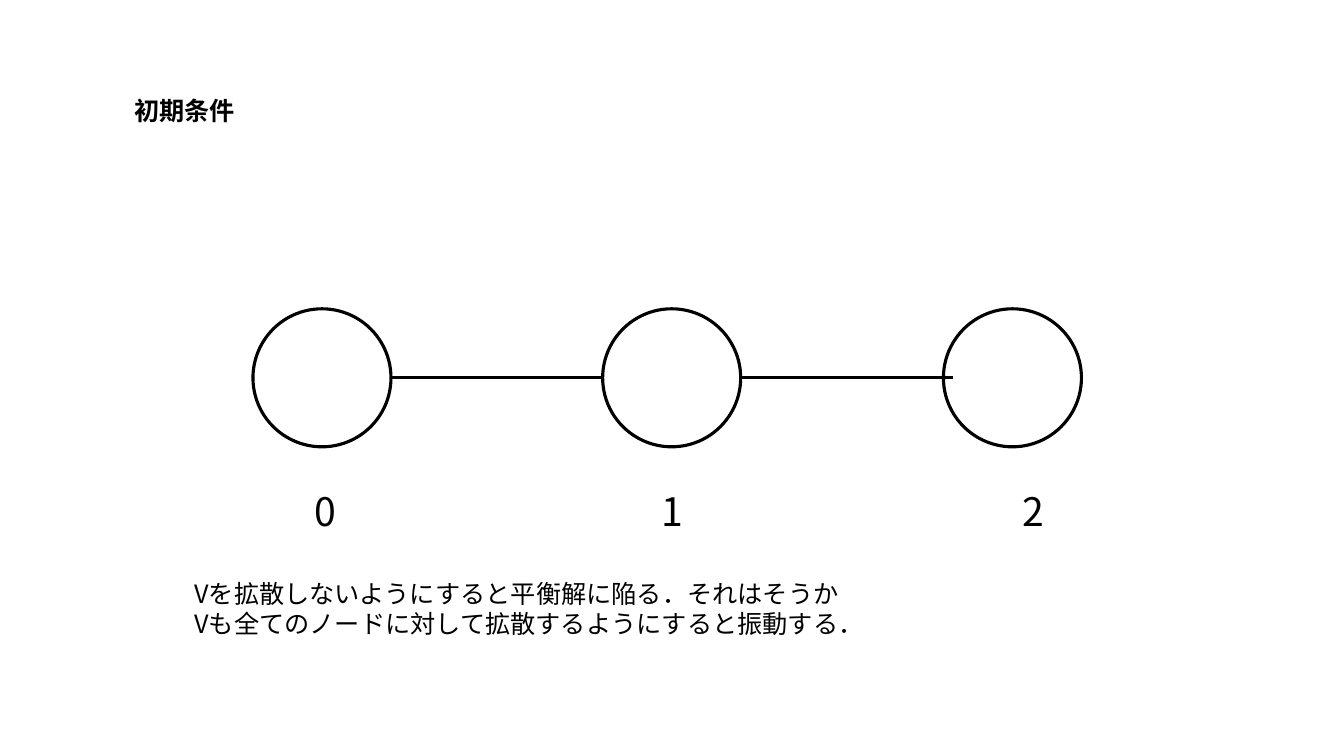
from dataclasses import dataclass

from lxml import etree
from pptx import Presentation
from pptx.dml.color import RGBColor
from pptx.enum.shapes import MSO_CONNECTOR, MSO_SHAPE
from pptx.enum.text import MSO_ANCHOR, MSO_AUTO_SIZE, PP_ALIGN
from pptx.oxml.ns import qn
from pptx.util import Pt

OVAL = MSO_SHAPE.OVAL
STRAIGHT = MSO_CONNECTOR.STRAIGHT
LEFT = PP_ALIGN.LEFT
TOP = MSO_ANCHOR.TOP
FIT_SHAPE = MSO_AUTO_SIZE.SHAPE_TO_FIT_TEXT
TITLE_ONLY = 5


@dataclass(frozen=True)
class Theme:
    ink: RGBColor = RGBColor(0, 0, 0)
    paper: RGBColor = RGBColor(255, 255, 255)
    font: str = "Noto Sans CJK JP"
    body_size: float = 18
    label_size: float = 28
    line_width: float = 2.25


THEME = Theme()


@dataclass(frozen=True)
class Box:
    left: float
    top: float
    width: float
    height: float


def place(shape, box):
    shape.left, shape.top = Pt(box.left), Pt(box.top)
    shape.width, shape.height = Pt(box.width), Pt(box.height)


def write_lines(shape, lines, size, bold=False):
    frame = shape.text_frame
    frame.word_wrap = False
    frame.auto_size = FIT_SHAPE
    frame.vertical_anchor = TOP
    for index, line in enumerate(lines):
        paragraph = frame.add_paragraph() if index else frame.paragraphs[0]
        paragraph.alignment = LEFT
        run = paragraph.add_run()
        run.text = line
        run.font.name = THEME.font
        run.font.size = Pt(size)
        run.font.bold = bold
        run.font.color.rgb = THEME.ink
        east_asian = etree.SubElement(run.font._element, qn("a:ea"))
        east_asian.set("typeface", THEME.font)


def add_title(slide, box, text):
    title = slide.shapes.title
    place(title, box)
    write_lines(title, [text], THEME.body_size, bold=True)


def add_text(slide, box, lines, size):
    shape = slide.shapes.add_textbox(0, 0, 0, 0)
    place(shape, box)
    write_lines(shape, lines, size)


def add_node(slide, box):
    node = slide.shapes.add_shape(OVAL, 0, 0, 0, 0)
    place(node, box)
    node.shadow.inherit = False
    node.fill.background()
    node.line.color.rgb = THEME.ink
    node.line.width = Pt(THEME.line_width)


def add_edge(slide, start, end, y):
    edge = slide.shapes.add_connector(STRAIGHT, Pt(start), Pt(y), Pt(end), Pt(y))
    edge.line.color.rgb = THEME.ink
    edge.line.width = Pt(THEME.line_width)
    etree.SubElement(edge._element.spPr, qn("a:effectLst"))


def add_chain(slide, box):
    diameter = 98.6
    node_offsets = (0, 249.8, box.width - diameter)
    label_offsets = (36.7, 284.4, 542.9)
    edge_length = 151.5
    for index, (node, label) in enumerate(zip(node_offsets, label_offsets)):
        left = box.left + node
        add_node(slide, Box(left, box.top, diameter, diameter))
        label_box = Box(box.left + label, box.top + 123.8, 30.2, 41)
        add_text(slide, label_box, [str(index)], THEME.label_size)
        if index < len(node_offsets) - 1:
            start = left + diameter
            add_edge(slide, start, start + edge_length, box.top + diameter / 2)


def main():
    presentation = Presentation()
    presentation.slide_width, presentation.slide_height = Pt(960), Pt(540)
    slide = presentation.slides.add_slide(presentation.slide_layouts[TITLE_ONLY])
    slide.background.fill.solid()
    slide.background.fill.fore_color.rgb = THEME.paper
    add_title(slide, Box(88.6, 64.8, 87.1, 28.8), "初期条件")
    add_chain(slide, Box(180.7, 220.6, 591.8, 164.8))
    add_text(
        slide,
        Box(131.8, 409.7, 499, 51.1),
        [
            "Vを拡散しないようにすると平衡解に陥る．それはそうか",
            "Vも全てのノードに対して拡散するようにすると振動する．",
        ],
        THEME.body_size,
    )
    presentation.save("out.pptx")


if __name__ == "__main__":
    main()
